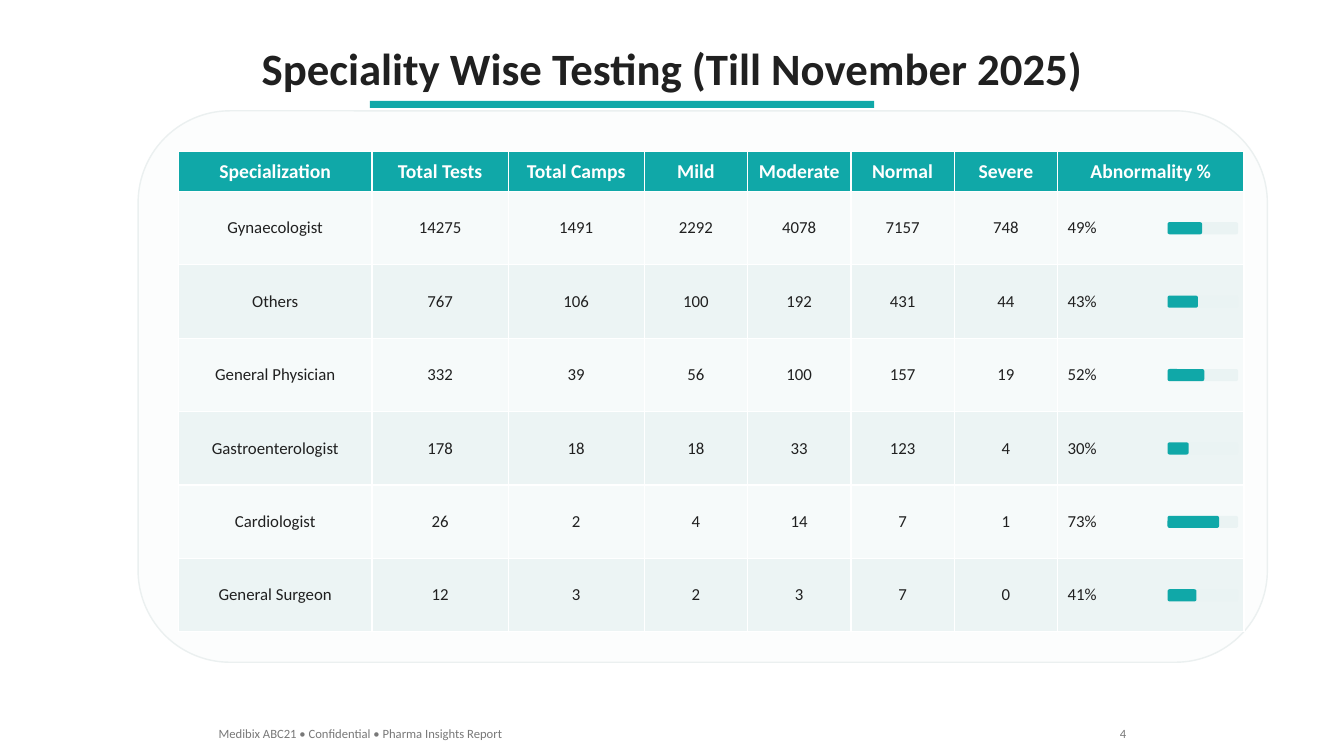
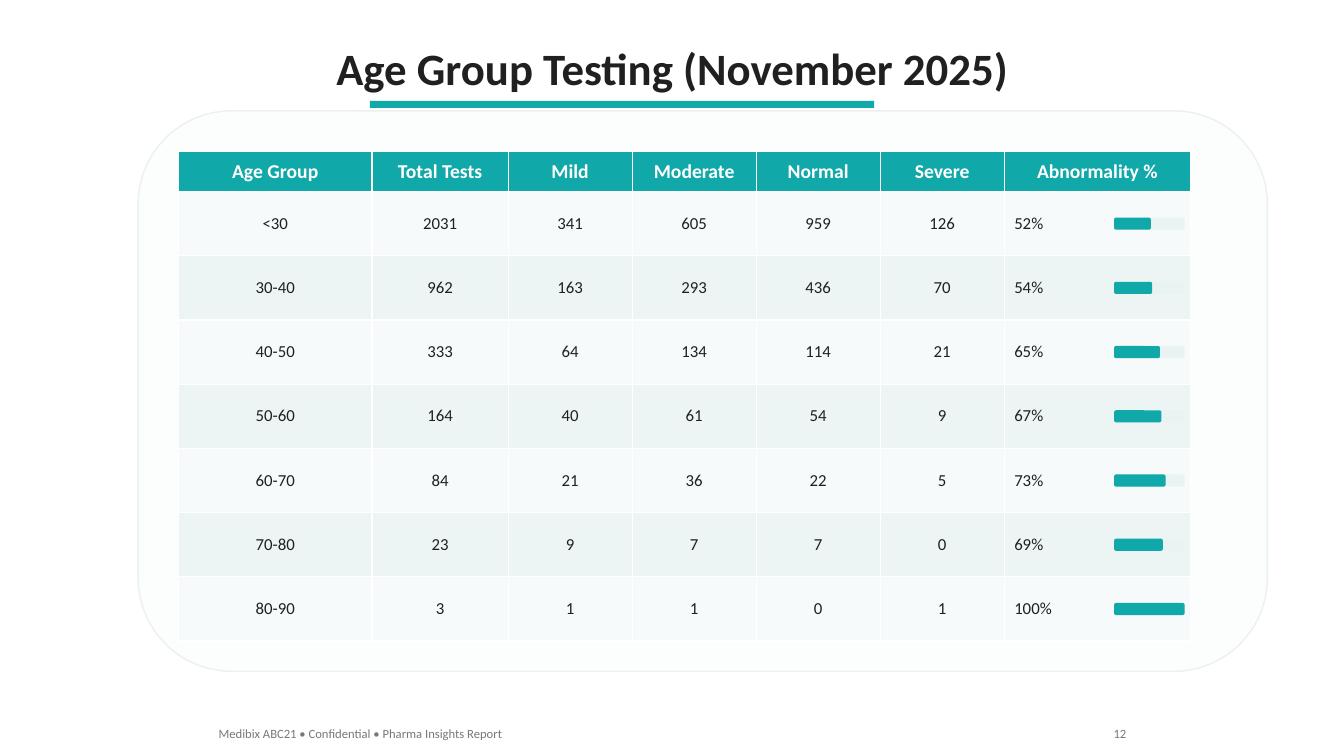
"""Build two pharma insight slides, each a testing table with abnormality bars."""
from pptx import Presentation
from pptx.dml.color import RGBColor
from pptx.enum import shapes, text
from pptx.util import Inches, Pt

TEAL = RGBColor(0x10, 0xA8, 0xA8)
INK = RGBColor(0x20, 0x20, 0x20)
GREY = RGBColor(0x78, 0x78, 0x78)
WHITE = RGBColor(0xFF, 0xFF, 0xFF)
PANEL_FILL = RGBColor(0xFC, 0xFD, 0xFD)
PANEL_LINE = RGBColor(0xEB, 0xF0, 0xF0)
TRACK = RGBColor(0xEA, 0xF3, 0xF3)
BANDS = (RGBColor(0xF6, 0xFA, 0xFA), RGBColor(0xEC, 0xF4, 0xF4))

TITLE_FONT = {"name": "Calibri", "size": Pt(32), "bold": True}
HEADER_FONT = {"name": "Calibri", "size": Pt(14), "bold": True}
BODY_FONT = {"name": "Calibri", "size": Pt(12), "bold": False}
FOOTER_FONT = {"name": "Calibri", "size": Pt(9), "bold": False}

SLIDE_W, SLIDE_H = 13.33, 7.5
TABLE_LEFT, TABLE_TOP, HEADER_H = 1.77, 1.5, 0.4
PANEL_LEFT, PANEL_W, PANEL_PAD, PANEL_EXTRA = 1.37, 11.2, 0.4, 0.7
NAME_W, TOTAL_W, PERCENT_W = 1.92, 1.35, 1.85
BAR_W, BAR_H, BAR_OFFSET = 0.7, 0.12, 0.76
FOOTER_TOP, FOOTER_H = 7.15, 0.25

FOOTER = "Medibix ABC21 • Confidential • Pharma Insights Report"
REPORTS = [
    {
        "title": "Speciality Wise Testing (Till November 2025)",
        "page": 4,
        "width": 10.57,
        "body_height": 4.37,
        "header": ("Specialization", "Total Tests", "Total Camps", "Mild",
                   "Moderate", "Normal", "Severe", "Abnormality %"),
        "rows": [
            ("Gynaecologist", 14275, 1491, 2292, 4078, 7157, 748, 49),
            ("Others", 767, 106, 100, 192, 431, 44, 43),
            ("General Physician", 332, 39, 56, 100, 157, 19, 52),
            ("Gastroenterologist", 178, 18, 18, 33, 123, 4, 30),
            ("Cardiologist", 26, 2, 4, 14, 7, 1, 73),
            ("General Surgeon", 12, 3, 2, 3, 7, 0, 41),
        ],
    },
    {
        "title": "Age Group Testing (November 2025)",
        "page": 12,
        "width": 10.04,
        "body_height": 4.46,
        "header": ("Age Group", "Total Tests", "Mild", "Moderate",
                   "Normal", "Severe", "Abnormality %"),
        "rows": [
            ("<30", 2031, 341, 605, 959, 126, 52),
            ("30-40", 962, 163, 293, 436, 70, 54),
            ("40-50", 333, 64, 134, 114, 21, 65),
            ("50-60", 164, 40, 61, 54, 9, 67),
            ("60-70", 84, 21, 36, 22, 5, 73),
            ("70-80", 23, 9, 7, 7, 0, 69),
            ("80-90", 3, 1, 1, 0, 1, 100),
        ],
    },
]


def write(frame, words, font, color, align):
    frame.text = words
    paragraph = frame.paragraphs[0]
    paragraph.alignment = align
    for key, value in font.items():
        setattr(paragraph.runs[0].font, key, value)
    paragraph.runs[0].font.color.rgb = color


def add_block(slide, kind, box, fill, line=None):
    block = slide.shapes.add_shape(kind, *map(Inches, box))
    block.shadow.inherit = False
    block.fill.solid()
    block.fill.fore_color.rgb = fill
    if line is None:
        block.line.fill.background()
    else:
        block.line.color.rgb = line
        block.line.width = Pt(1)


def add_title(slide, words):
    title = slide.shapes.title
    box = {"left": 1.07, "top": 0.35, "width": 11.2, "height": 0.64}
    for key, value in box.items():
        setattr(title, key, Inches(value))
    frame = title.text_frame
    frame.auto_size = text.MSO_AUTO_SIZE.NONE
    frame.vertical_anchor = text.MSO_ANCHOR.MIDDLE
    write(frame, words, TITLE_FONT, INK, text.PP_ALIGN.CENTER)
    add_block(slide, shapes.MSO_SHAPE.RECTANGLE, (3.67, 1, 5, 0.07), TEAL)


def column_widths(header, total):
    leading = [NAME_W] + [TOTAL_W for label in header if label.startswith("Total")]
    severity_count = len(header) - len(leading) - 1
    severity_w = (total - sum(leading) - PERCENT_W) / severity_count
    return leading + [severity_w] * severity_count + [PERCENT_W]


def add_results(slide, report):
    header, rows = report["header"], report["rows"]
    width, height = report["width"], HEADER_H + report["body_height"]
    row_h = report["body_height"] / len(rows)
    add_block(slide, shapes.MSO_SHAPE.ROUNDED_RECTANGLE,
              (PANEL_LEFT, TABLE_TOP - PANEL_PAD, PANEL_W, height + PANEL_EXTRA),
              PANEL_FILL, PANEL_LINE)
    results = slide.shapes.add_table(
        len(rows) + 1, len(header),
        *map(Inches, (TABLE_LEFT, TABLE_TOP, width, height))).table
    for column, column_w in zip(results.columns, column_widths(header, width)):
        column.width = Inches(column_w)
    for r, values in enumerate([header, *rows]):
        results.rows[r].height = Inches(row_h if r else HEADER_H)
        for c, value in enumerate(values):
            is_percent = r > 0 and c == len(header) - 1
            cell = results.cell(r, c)
            cell.vertical_anchor = text.MSO_ANCHOR.MIDDLE
            cell.fill.solid()
            cell.fill.fore_color.rgb = BANDS[(r - 1) % 2] if r else TEAL
            write(cell.text_frame, f"{value}%" if is_percent else str(value),
                  BODY_FONT if r else HEADER_FONT, INK if r else WHITE,
                  text.PP_ALIGN.LEFT if is_percent else text.PP_ALIGN.CENTER)

    bar_left = TABLE_LEFT + width - BAR_OFFSET
    for r, (*_, percent) in enumerate(rows):
        bar_top = TABLE_TOP + HEADER_H + (r + 0.5) * row_h - BAR_H / 2
        for share, color in ((100, TRACK), (percent, TEAL)):
            if color == TEAL or percent < 100:
                add_block(slide, shapes.MSO_SHAPE.ROUNDED_RECTANGLE,
                          (bar_left, bar_top, BAR_W * share / 100, BAR_H), color)


def add_footer(slide, page):
    for words, left, width, align in (
            (FOOTER, 2.07, 4, text.PP_ALIGN.LEFT),
            (str(page), 10.77, 0.5, text.PP_ALIGN.RIGHT)):
        note = slide.shapes.add_textbox(
            *map(Inches, (left, FOOTER_TOP, width, FOOTER_H)))
        note.text_frame.word_wrap = True
        write(note.text_frame, words, FOOTER_FONT, GREY, align)


def main():
    deck = Presentation()
    deck.slide_width, deck.slide_height = Inches(SLIDE_W), Inches(SLIDE_H)
    for report in REPORTS:
        slide = deck.slides.add_slide(deck.slide_layouts.get_by_name("Title Only"))
        add_title(slide, report["title"])
        add_results(slide, report)
        add_footer(slide, report["page"])
    deck.save("out.pptx")


if __name__ == "__main__":
    main()
